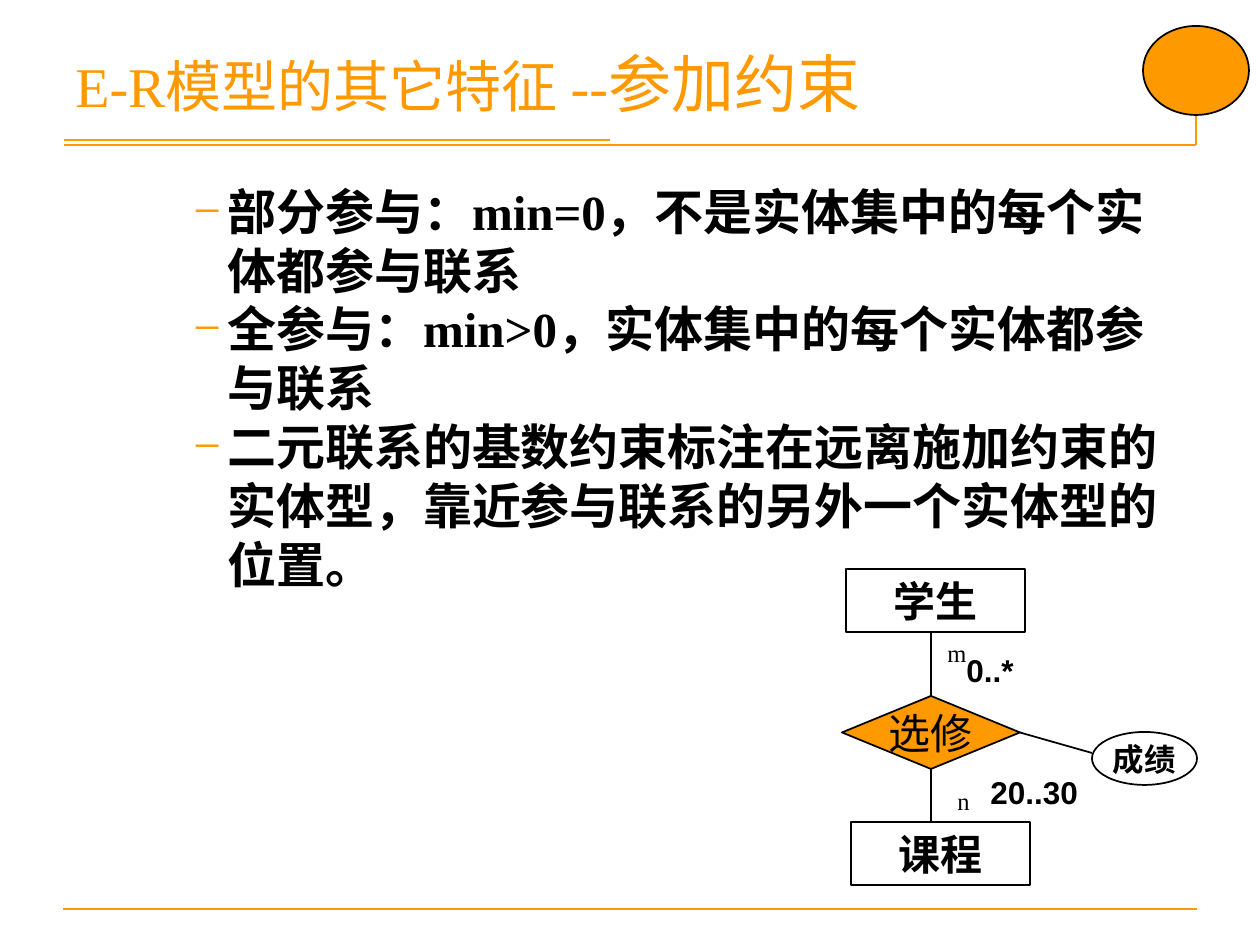
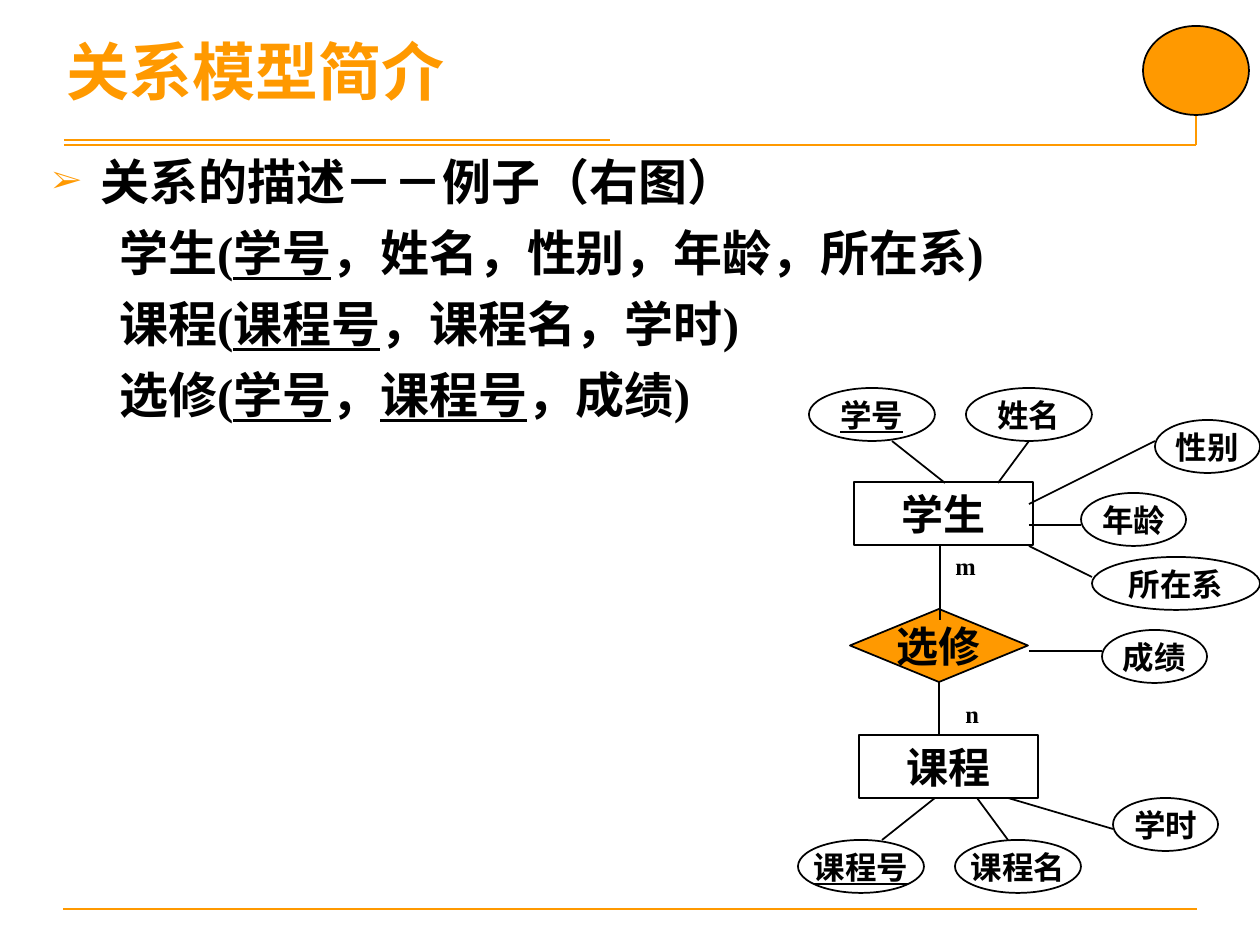
from lxml.etree import SubElement
from pptx import Presentation
from pptx.dml.color import RGBColor
from pptx.enum.shapes import MSO_CONNECTOR, MSO_SHAPE
from pptx.enum.text import MSO_ANCHOR, PP_ALIGN
from pptx.oxml.ns import qn
from pptx.util import Emu, Pt

ORANGE = RGBColor(0xFF, 0x99, 0x00)
BLACK = RGBColor(0, 0, 0)
SERIF, SANS = "Times New Roman", "Arial"
EMU_PER_PX = 914400 / 126

# Frame lines: x1, y1, x2, y2
FRAME_LINES = [(63, 909, 1197, 909), (64, 145, 1196, 145),
               (1196, 35, 1196, 145), (64, 140, 610, 140)]
CORNER_BOX = (1143, 26, 106, 89)

# Enrolment diagram, placed as on the first slide
ENTITIES = [("学生", 846, 569), ("课程", 851, 822)]
ENTITY_SIZE = (179, 63)
RELATION_BOX = (842, 696, 178, 73)
ROLES = [("m", (935, 632, 42, 43)), ("n", (945, 780, 32, 43))]
ATTRIBUTE_HEIGHT = 53

CONSTRAINTS = [
    "部分参与：min=0，不是实体集中的每个实体都参与联系",
    "全参与：min>0，实体集中的每个实体都参与联系",
    "二元联系的基数约束标注在远离施加约束的实体型，靠近参与联系的另外一个实体型的位置。",
]
CARDINALITIES = [("20..30", (978, 767, 130, 50)), ("0..*", (954, 645, 90, 50))]

# Keys of a relation are put between underscores
SCHEMA_HEAD = "关系的描述－－例子（右图）"
SCHEMAS = [
    "学生(_学号_，姓名，性别，年龄，所在系)",
    "课程(_课程号_，课程名，学时)",
    "选修(_学号_，_课程号_，成绩)",
]

# Attributes: name, x, y, width
GRADE = [("成绩", 1092, 732, 105)]
ATTRIBUTES = [
    ("_学号_", 809, 388, 126), ("姓名", 966, 388, 126),
    ("性别", 1155, 420, 105), ("年龄", 1081, 493, 105),
    ("所在系", 1092, 557, 168), ("成绩", 1102, 630, 105),
    ("_课程号_", 798, 840, 126), ("课程名", 955, 840, 126),
    ("学时", 1113, 798, 105),
]

# Links: x1, y1, x2, y2
ATTRIBUTE_LINKS = [
    (892, 441, 945, 483), (1029, 441, 998, 483), (1029, 504, 1155, 441),
    (1029, 525, 1081, 525), (1029, 546, 1092, 577), (1029, 651, 1102, 651),
    (935, 798, 882, 840), (977, 798, 1008, 840), (1008, 798, 1113, 829),
    (940, 546, 940, 620),
]


def px(n):
    return Emu(round(n * EMU_PER_PX))


def keyed(text):
    """Split text into runs; the parts between underscores are underlined."""
    return [(part, {"underline": True} if i % 2 else {})
            for i, part in enumerate(text.split("_")) if part]


def add_bullet(p, char, percent):
    pPr = p._p.get_or_add_pPr()
    color = SubElement(pPr, qn("a:buClr"))
    SubElement(color, qn("a:srgbClr"), val=str(ORANGE))
    SubElement(pPr, qn("a:buSzPct"), val=str(percent * 1000))
    SubElement(pPr, qn("a:buFont"), typeface=SERIF)
    SubElement(pPr, qn("a:buChar"), char=char)


def write(p, text, size=18, font=SERIF, color=BLACK, bold=False, align=None,
          margin=0, indent=0, bullet=None, percent=100, before=0):
    """Fill a paragraph; text is a string or a list of (text, font overrides)."""
    pPr = p._p.get_or_add_pPr()
    pPr.set("marL", str(px(margin)))
    pPr.set("indent", str(px(indent)))
    if bullet:
        add_bullet(p, bullet, percent)
    if align is not None:
        p.alignment = align
    if before:
        p.space_before = Pt(before)
    for part, overrides in [(text, {})] if isinstance(text, str) else text:
        r = p.add_run()
        r.text = part
        r.font.name, r.font.size, r.font.bold = font, Pt(size), bold
        r.font.color.rgb = color
        for key, value in overrides.items():
            setattr(r.font, key, value)


def add_text(slide, box, text, **fmt):
    tf = slide.shapes.add_textbox(*map(px, box)).text_frame
    tf.word_wrap = True
    write(tf.paragraphs[0], text, **fmt)
    return tf


def add_node(slide, kind, box, text=None, fill=None, wrap=False,
             anchor=MSO_ANCHOR.MIDDLE, **fmt):
    s = slide.shapes.add_shape(kind, *map(px, box))
    s.shadow.inherit = False
    if fill is None:
        s.fill.background()
    else:
        s.fill.solid()
        s.fill.fore_color.rgb = fill
    s.line.color.rgb, s.line.width = BLACK, Pt(1)
    if text:
        tf = s.text_frame
        tf.word_wrap, tf.vertical_anchor = wrap, anchor
        write(tf.paragraphs[0], text, align=PP_ALIGN.CENTER, **fmt)
    return s


def add_line(slide, ends, color=BLACK, width=1):
    c = slide.shapes.add_connector(MSO_CONNECTOR.STRAIGHT, *map(px, ends))
    c.line.color.rgb, c.line.width = color, Pt(width)
    SubElement(c._element.spPr, qn("a:effectLst"))
    return c


def add_frame(prs, title_box, title, **fmt):
    """Add a slide with the shared lines, corner shape and title."""
    slide = prs.slides.add_slide(prs.slide_layouts[6])
    for ends in FRAME_LINES:
        add_line(slide, ends, ORANGE, 1.5)
    add_node(slide, MSO_SHAPE.OVAL, CORNER_BOX, fill=ORANGE)
    add_text(slide, title_box, title, color=ORANGE, **fmt)
    return slide


def add_enrolment(slide, dx=0, dy=0, bold=False):
    """Draw the entities, relation and roles; return the relation's diamond."""
    for name, x, y in ENTITIES:
        add_node(slide, MSO_SHAPE.RECTANGLE, (x + dx, y + dy, *ENTITY_SIZE),
                 name, wrap=True, anchor=MSO_ANCHOR.TOP, size=24, bold=True)
    x, y, w, h = RELATION_BOX
    diamond = add_node(slide, MSO_SHAPE.FLOWCHART_DECISION,
                       (x + dx, y + dy, w, h), "选修", fill=ORANGE,
                       size=24, bold=bold)
    for role, (x, y, w, h) in ROLES:
        add_text(slide, (x + dx, y + dy, w, h), role, size=14, bold=bold)
    lower = add_line(slide, (931 + dx, 769 + dy, 931 + dx, 822 + dy))
    lower.begin_connect(diamond, 2)
    return diamond


def add_attributes(slide, attributes):
    for name, x, y, w in attributes:
        add_node(slide, MSO_SHAPE.OVAL, (x, y, w, ATTRIBUTE_HEIGHT),
                 keyed(name), bold=True)


def add_participation_slide(prs):
    title = [("E-R模型的其它特征 --", {}), ("参加约束", {"size": Pt(36)})]
    slide = add_frame(prs, (63, 38, 1134, 107), title, size=32)
    fmt = dict(size=28, bold=True, margin=161, indent=-34, bullet="−")
    tf = add_text(slide, (54, 175, 1131, 425), CONSTRAINTS[0], **fmt)
    for text in CONSTRAINTS[1:]:
        write(tf.add_paragraph(), text, **fmt)

    diamond = add_enrolment(slide)
    upper = add_line(slide, (931, 632, 931, 696))
    upper.end_connect(diamond, 0)
    add_attributes(slide, GRADE)
    grade_link = add_line(slide, (1020, 732, 1092, 753))
    grade_link.begin_connect(diamond, 3)
    for text, box in CARDINALITIES:
        add_text(slide, box, text, font=SANS, bold=True)


def add_relational_slide(prs):
    slide = add_frame(prs, (54, 26, 1071, 105), "关系模型简介",
                      size=36, bold=True)
    tf = add_text(slide, (40, 145, 1124, 746), SCHEMA_HEAD, size=28, bold=True,
                  margin=48, indent=-48, bullet="➢", percent=65)
    for schema in SCHEMAS:
        write(tf.add_paragraph(), keyed(schema), size=28, bold=True,
              margin=67, before=7)

    add_enrolment(slide, dx=8, dy=-87, bold=True)
    add_attributes(slide, ATTRIBUTES)
    for ends in ATTRIBUTE_LINKS:
        add_line(slide, ends)


def main():
    prs = Presentation()
    prs.slide_width, prs.slide_height = px(1260), px(945)
    add_participation_slide(prs)
    add_relational_slide(prs)
    prs.save("out.pptx")


if __name__ == "__main__":
    main()
